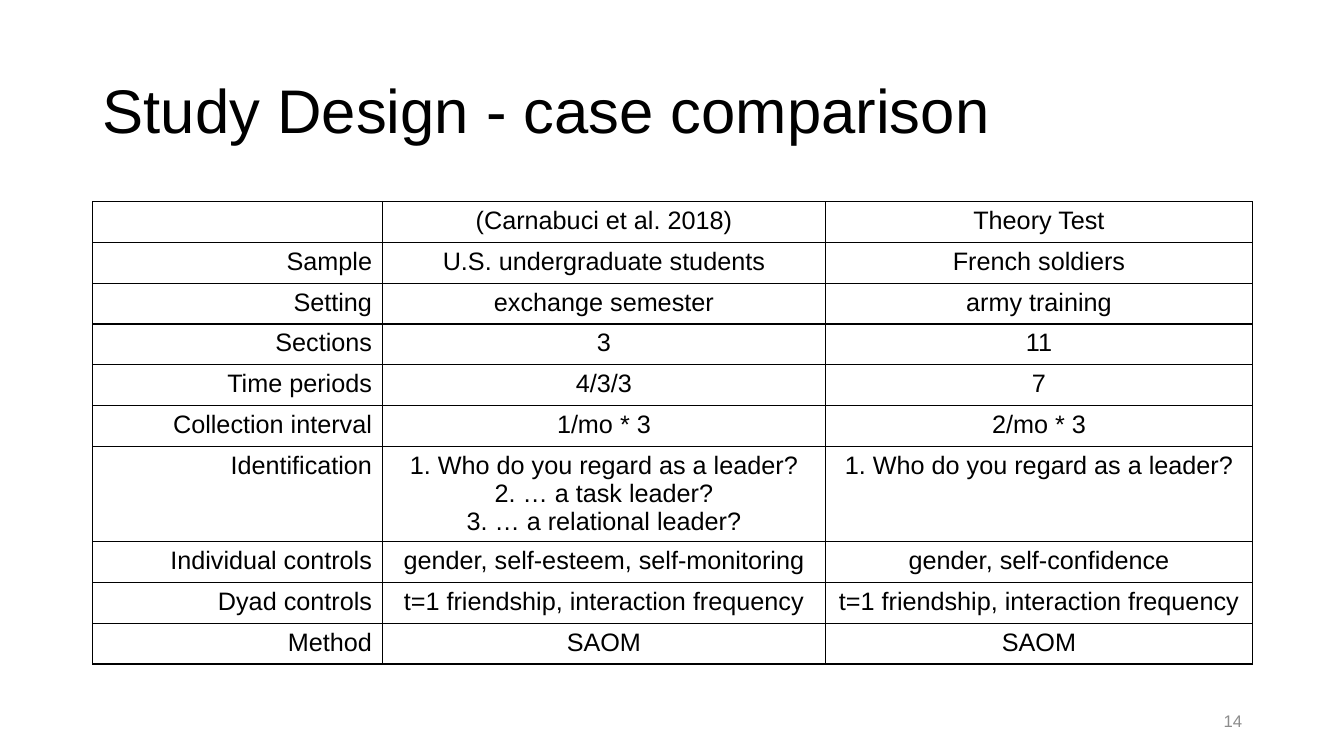
from lxml import etree
from pptx import Presentation
from pptx.dml.color import RGBColor
from pptx.enum.text import MSO_ANCHOR, PP_ALIGN
from pptx.oxml.ns import qn
from pptx.util import Inches, Pt

LEFT, CENTER, RIGHT = PP_ALIGN.LEFT, PP_ALIGN.CENTER, PP_ALIGN.RIGHT
MIDDLE = MSO_ANCHOR.MIDDLE
FONT, BLACK, GRAY = "Arial", "000000", "8C8C8C"
SLIDE_WIDTH, SLIDE_HEIGHT = 13.33, 7.5
MARGIN, CONTENT_WIDTH = 0.92, 11.5
COLUMN_WIDTHS = (2.87, 4.4, 4.23)
ROW_HEIGHT, LINE_HEIGHT = 0.405, 0.27
LEADER = "1. Who do you regard as a leader?"
DYAD = "t=1 friendship, interaction frequency"
COMPARISON = (
    ("", "(Carnabuci et al. 2018)", "Theory Test"),
    ("Sample", "U.S. undergraduate students", "French soldiers"),
    ("Setting", "exchange semester", "army training"),
    ("Sections", "3", "11"),
    ("Time periods", "4/3/3", "7"),
    ("Collection interval", "1/mo * 3", "2/mo * 3"),
    ("Identification",
     LEADER + "\n2. … a task leader?\n3. … a relational leader?", LEADER),
    ("Individual controls", "gender, self-esteem, self-monitoring",
     "gender, self-confidence"),
    ("Dyad controls", DYAD, DYAD),
    ("Method", "SAOM", "SAOM"),
)


def color(hex_value):
    """Turn a hex string into a colour."""
    return RGBColor.from_string(hex_value)


def set_attributes(target, values):
    """Set each named value on the target."""
    for name, value in values.items():
        setattr(target, name, value)


def write_text(frame, text, size, alignment, hex_value=BLACK, spacing=1.0):
    """Fill a text frame, one paragraph per line of text."""
    frame.text = text
    for paragraph in frame.paragraphs:
        set_attributes(paragraph, {"alignment": alignment, "line_spacing": spacing})
        for run in paragraph.runs:
            set_attributes(run.font, {"name": FONT, "size": Pt(size)})
            run.font.color.rgb = color(hex_value)


def place(shape, left, top, width, height):
    """Move and size a shape, in inches."""
    set_attributes(shape, {"left": Inches(left), "top": Inches(top),
                           "width": Inches(width), "height": Inches(height)})


def add_title(slide, text):
    """Format the title placeholder."""
    title = slide.shapes.title
    place(title, MARGIN, 0.4, CONTENT_WIDTH, 1.45)
    write_text(title.text_frame, text, 44, LEFT, spacing=0.9)
    title.text_frame.vertical_anchor = MIDDLE


def add_slide_number(slide, number):
    """Write the slide number, flush with the right margin."""
    width = 3
    left = MARGIN + CONTENT_WIDTH - width
    box = slide.shapes.add_textbox(Inches(left), Inches(6.95), Inches(width), Inches(0.4))
    set_attributes(box.text_frame, {"word_wrap": True, "vertical_anchor": MIDDLE})
    write_text(box.text_frame, number, 12, RIGHT, GRAY)


def add_borders(cell, hex_value, width):
    """Draw the four borders of a cell ahead of its fill."""
    properties = cell._tc.get_or_add_tcPr()
    for position, side in enumerate(("a:lnL", "a:lnR", "a:lnT", "a:lnB")):
        line = etree.Element(qn(side), w=str(Pt(width)))
        fill = etree.SubElement(line, qn("a:solidFill"))
        etree.SubElement(fill, qn("a:srgbClr"), val=hex_value)
        properties.insert(position, line)


def add_comparison_table(slide, rows):
    """Add a bordered table whose rows grow with their lines of text."""
    heights = [ROW_HEIGHT + LINE_HEIGHT * max(text.count("\n") for text in row)
               for row in rows]
    table = slide.shapes.add_table(
        len(rows), len(COLUMN_WIDTHS), Inches(MARGIN), Inches(2),
        Inches(CONTENT_WIDTH), Inches(sum(heights))).table
    set_attributes(table, {"first_row": False, "horz_banding": False})
    for column, width in zip(table.columns, COLUMN_WIDTHS):
        column.width = Inches(width)
    for row, height, texts in zip(table.rows, heights, rows):
        row.height = Inches(height)
        for index, (cell, text) in enumerate(zip(row.cells, texts)):
            write_text(cell.text_frame, text, 18, CENTER if index else RIGHT)
            cell.fill.background()
            add_borders(cell, BLACK, 1)


def main():
    """Build the slide and save it."""
    presentation = Presentation()
    set_attributes(presentation, {"slide_width": Inches(SLIDE_WIDTH),
                                  "slide_height": Inches(SLIDE_HEIGHT)})
    slide = presentation.slides.add_slide(presentation.slide_layouts.get_by_name("Title Only"))
    add_title(slide, "Study Design - case comparison")
    add_comparison_table(slide, COMPARISON)
    add_slide_number(slide, "14")
    presentation.save("out.pptx")


main()
